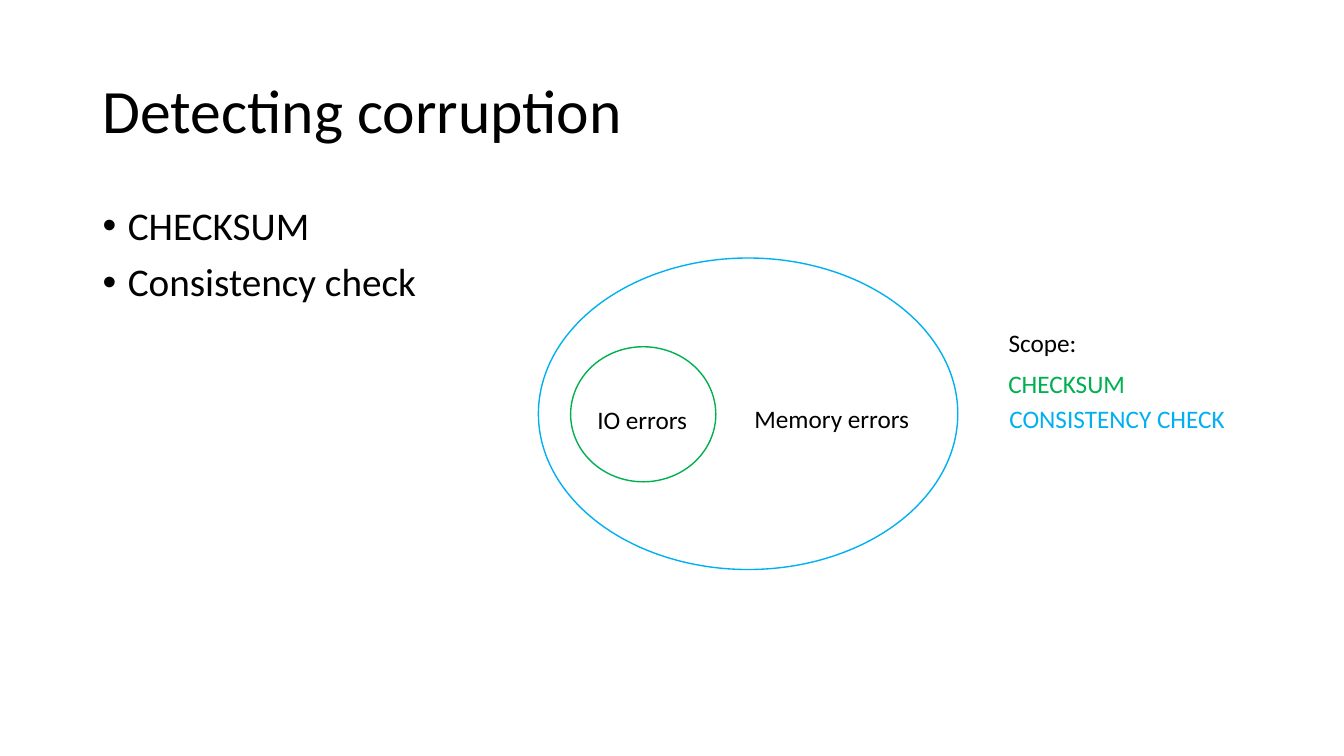
from lxml import etree
from pptx import Presentation
from pptx.dml.color import RGBColor
from pptx.enum.shapes import MSO_SHAPE
from pptx.enum.text import MSO_ANCHOR, PP_ALIGN
from pptx.oxml.ns import qn
from pptx.util import Inches, Pt

BLACK, GREEN, BLUE = "000000", "00B050", "00B0F0"


def rgb(value):
    return RGBColor.from_string(value)


def add_text(box, lines, size, color=BLACK, align=PP_ALIGN.LEFT):
    tf = s.shapes.add_textbox(*map(Inches, box)).text_frame
    tf.word_wrap = True
    tf.text = "\n".join(lines)
    for p in tf.paragraphs:
        p.alignment = align
        p.font.name = "Calibri"
        p.font.size = Pt(size)
        p.font.color.rgb = rgb(color)
    return tf


prs = Presentation()
prs.slide_width, prs.slide_height = Inches(13.33), Inches(7.5)
s = prs.slides.add_slide(prs.slide_layouts[6])

title = add_text((0.92, 0.4, 11.5, 1.45), ["Detecting corruption"], 44)
title.vertical_anchor = MSO_ANCHOR.MIDDLE
title.paragraphs[0].line_spacing = 0.9

methods = add_text((0.92, 2, 3.8, 4.76), ["CHECKSUM", "Consistency check"], 28)
for p in methods.paragraphs:
    p.line_spacing = 0.9
    p.space_before = Pt(10)
    pPr = p._p.get_or_add_pPr()
    pPr.set("marL", str(Inches(0.25)))
    pPr.set("indent", str(Inches(-0.25)))
    bullet_font = etree.Element(qn("a:buFont"), typeface="Arial")
    bullet = etree.Element(qn("a:buChar"), char="•")
    pPr.find(qn("a:defRPr")).addprevious(bullet_font)
    bullet_font.addnext(bullet)

scopes = [
    ((5.34, 2.56, 4.16, 3.09), BLUE),
    ((5.66, 3.44, 1.44, 1.34), GREEN),
]
for box, color in scopes:
    sp = s.shapes.add_shape(MSO_SHAPE.OVAL, *map(Inches, box))
    sp.shadow.inherit = False
    sp.fill.background()
    sp.line.color.rgb = rgb(color)
    sp.line.width = Pt(1)

labels = [
    ("IO errors", 4.87, 3.96, BLACK),
    ("Memory errors", 6.75, 3.95, BLACK),
    ("CHECKSUM", 9.08, 3.6, GREEN),
    ("CONSISTENCY CHECK", 9.58, 3.95, BLUE),
    ("Scope:", 8.84, 3.2, BLACK),
]
for text, left, top, color in labels:
    add_text((left, top, 3, 0.4), [text], 18, color, PP_ALIGN.CENTER)

prs.save("out.pptx")
